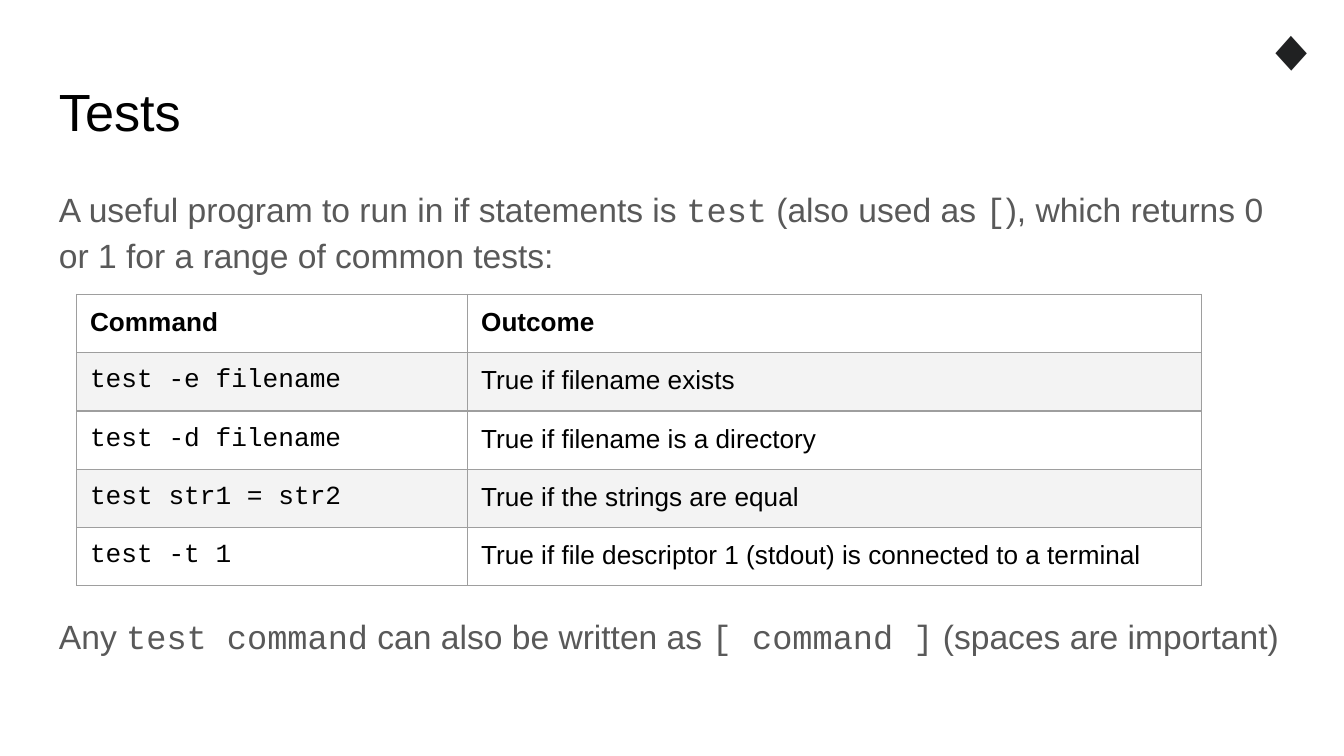
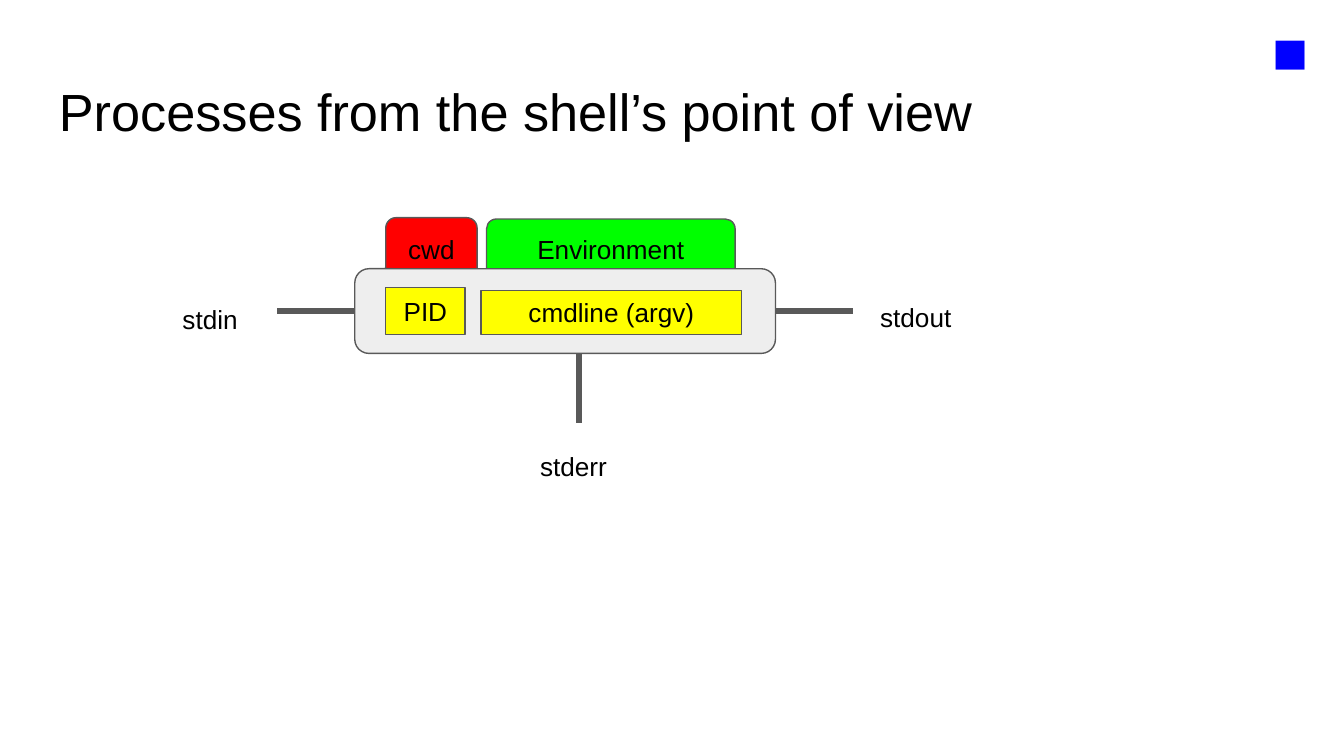
from dataclasses import dataclass
from typing import Any

from lxml import etree
from pptx import Presentation
from pptx.dml import color as dml
from pptx.enum import shapes, text
from pptx.oxml import ns
from pptx.util import Emu, Pt

WIDE, HIGH = 9144000, 5143500
COLS, ROWS = 100, 56.25


@dataclass(frozen=True)
class Theme:
    sans: str = "Arial"
    mono: str = "Courier New"
    ink: str = "000000"
    gray: str = "595959"
    rule: str = "9E9E9E"
    band: str = "F3F3F3"
    panel: str = "EEEEEE"
    dark: str = "202122"
    blue: str = "0000FF"
    red: str = "FF0000"
    green: str = "00FF00"
    yellow: str = "FFFF00"
    title: int = 28
    mark: int = 32
    body: int = 18
    small: int = 14
    thin: float = 0.75
    thick: float = 3


@dataclass(frozen=True)
class Area:
    col: float
    row: float
    wide: float
    high: float

    def emu(self) -> tuple[Emu, Emu, Emu, Emu]:
        return across(self.col), down(self.row), across(self.wide), down(self.high)


@dataclass(frozen=True)
class Block:
    label: str
    area: Area
    fill: str
    kind: Any


@dataclass(frozen=True)
class Stream:
    label: str
    area: Area
    start: tuple[float, float]
    end: tuple[float, float]
    side: int | None = None


THEME = Theme()
ROUND = shapes.MSO_SHAPE.ROUNDED_RECTANGLE
RECT = shapes.MSO_SHAPE.RECTANGLE
CENTER = text.PP_ALIGN.CENTER

TITLE = Area(3.4, 4.9, 93.2, 6.3)
BODY = Area(3.4, 12.6, 93.2, 37.4)
MARK = Area(92.1, 0, 7.9, 7.4)
GRID = Area(5.7, 21.9, 83.7, 21)
SPLIT = (29.1, 54.6)

INTRO = [
    "A useful program to run in if statements is `test` (also used as `[`), "
    "which returns 0 or 1 for a range of common tests:",
    "Any `test command` can also be written as `[ command ]` (spaces are important)",
]
TESTS = [
    ("Command", "Outcome"),
    ("`test -e filename`", "True if filename exists"),
    ("`test -d filename`", "True if filename is a directory"),
    ("`test str1 = str2`", "True if the strings are equal"),
    ("`test -t 1`", "True if file descriptor 1 (stdout) is connected to a terminal"),
]

PANEL = Area(26.4, 20, 31.3, 6.3)
MID = PANEL.row + PANEL.high / 2
RIGHT = PANEL.col + PANEL.wide
BASE = PANEL.row + PANEL.high
REACH = 5.8
TABS = [
    Block("Environment", Area(36.2, 16.3, 18.5, 4.4), THEME.green, ROUND),
    Block("cwd", Area(28.7, 16.2, 6.8, 4.6), THEME.red, ROUND),
]
PARTS = [
    Block("PID", Area(28.7, 21.4, 5.9, 3.5), THEME.yellow, RECT),
    Block("cmdline (argv)", Area(35.8, 21.6, 19.4, 3.3), THEME.yellow, RECT),
]
STREAMS = [
    Stream("stdin", Area(12.6, 21.6, 8, 3.5),
           (PANEL.col, MID), (PANEL.col - REACH, MID), 1),
    Stream("stdout", Area(64.5, 21.4, 8, 3.5),
           (RIGHT, MID), (RIGHT + REACH, MID), 3),
    Stream("stderr", Area(39.2, 32.5, 8, 3.5),
           (43.1, BASE), (43.1, BASE + 5.2)),
]


def across(cols: float) -> Emu:
    return Emu(round(WIDE * cols / COLS))


def down(rows: float) -> Emu:
    return Emu(round(HIGH * rows / ROWS))


def tint(code: str) -> dml.RGBColor:
    return dml.RGBColor.from_string(code)


def write(frame: Any, *lines: str, size: float = THEME.small,
          color: str = THEME.ink, bold: bool = False, align: Any = None,
          pitch: float | None = None, gap: float = 0) -> None:
    for i, line in enumerate(lines):
        para = frame.paragraphs[0] if i == 0 else frame.add_paragraph()
        para.alignment = align
        para.line_spacing = pitch
        if i:
            para.space_before = Pt(gap)
        for j, part in enumerate(line.split("`")):
            if part:
                run = para.add_run()
                run.text = part
                run.font.name = THEME.mono if j % 2 else THEME.sans
                run.font.size = Pt(size)
                run.font.bold = bold
                run.font.color.rgb = tint(color)


def pad(frame: Any) -> None:
    frame.word_wrap = True
    frame.margin_left = frame.margin_right = across(1)
    frame.margin_top = frame.margin_bottom = down(1)


def add_text(slide: Any, area: Area, *lines: str, **style: Any) -> Any:
    frame = slide.shapes.add_textbox(*area.emu()).text_frame
    pad(frame)
    write(frame, *lines, **style)
    return frame


def add_block(slide: Any, block: Block) -> Any:
    shape = slide.shapes.add_shape(block.kind, *block.area.emu())
    shape.shadow.inherit = False
    shape.fill.solid()
    shape.fill.fore_color.rgb = tint(block.fill)
    shape.line.color.rgb = tint(THEME.gray)
    shape.line.width = Pt(THEME.thin)
    if block.label:
        pad(shape.text_frame)
        shape.text_frame.vertical_anchor = text.MSO_ANCHOR.MIDDLE
        write(shape.text_frame, block.label, align=CENTER)
    return shape


def add_stream(slide: Any, stream: Stream, panel: Any) -> None:
    (x1, y1), (x2, y2) = stream.start, stream.end
    line = slide.shapes.add_connector(
        shapes.MSO_CONNECTOR.STRAIGHT, across(x1), down(y1), across(x2), down(y2))
    if stream.side is not None:
        line.begin_connect(panel, stream.side)
    line.line.color.rgb = tint(THEME.gray)
    line.line.width = Pt(THEME.thick)
    etree.SubElement(line._element.spPr, ns.qn("a:effectLst"))
    add_text(slide, stream.area, stream.label)


def edge(cell: Any) -> None:
    props = cell._tc.get_or_add_tcPr()
    for i, side in enumerate(("lnL", "lnR", "lnT", "lnB")):
        line = etree.Element(ns.qn(f"a:{side}"), w=str(Pt(THEME.thin)))
        fill = etree.SubElement(line, ns.qn("a:solidFill"))
        etree.SubElement(fill, ns.qn("a:srgbClr"), val=THEME.rule)
        props.insert(i, line)


def add_grid(slide: Any, area: Area, rows: list[tuple[str, str]]) -> None:
    table = slide.shapes.add_table(len(rows), len(SPLIT), *area.emu()).table
    table.first_row = table.horz_banding = False
    for col, wide in zip(table.columns, SPLIT):
        col.width = across(wide)
    for i, row in enumerate(rows):
        table.rows[i].height = down(area.high / len(rows))
        for j, label in enumerate(row):
            cell = table.cell(i, j)
            cell.margin_left = cell.margin_right = across(1)
            cell.margin_top = cell.margin_bottom = down(1)
            if i % 2:
                cell.fill.solid()
                cell.fill.fore_color.rgb = tint(THEME.band)
            else:
                cell.fill.background()
            edge(cell)
            write(cell.text_frame, label, bold=i == 0)


def add_title(slide: Any, title: str) -> None:
    add_text(slide, TITLE, title, size=THEME.title)


def add_mark(slide: Any, sign: str, color: str) -> None:
    frame = add_text(slide, MARK, sign, size=THEME.mark, color=color, align=CENTER)
    frame.auto_size = text.MSO_AUTO_SIZE.SHAPE_TO_FIT_TEXT


def draw_tests(slide: Any) -> None:
    add_title(slide, "Tests")
    add_text(slide, BODY, *INTRO, size=THEME.body, color=THEME.gray,
             pitch=1.15, gap=179)
    add_grid(slide, GRID, TESTS)
    add_mark(slide, "◆", THEME.dark)


def draw_shell(slide: Any) -> None:
    for tab in TABS:
        add_block(slide, tab)
    add_title(slide, "Processes from the shell’s point of view")
    panel = add_block(slide, Block("", PANEL, THEME.panel, ROUND))
    for part in PARTS:
        add_block(slide, part)
    for stream in STREAMS:
        add_stream(slide, stream, panel)
    add_mark(slide, "■", THEME.blue)


def main() -> None:
    deck = Presentation()
    deck.slide_width, deck.slide_height = Emu(WIDE), Emu(HIGH)
    for draw in (draw_tests, draw_shell):
        draw(deck.slides.add_slide(deck.slide_layouts[6]))
    deck.save("out.pptx")


if __name__ == "__main__":
    main()
